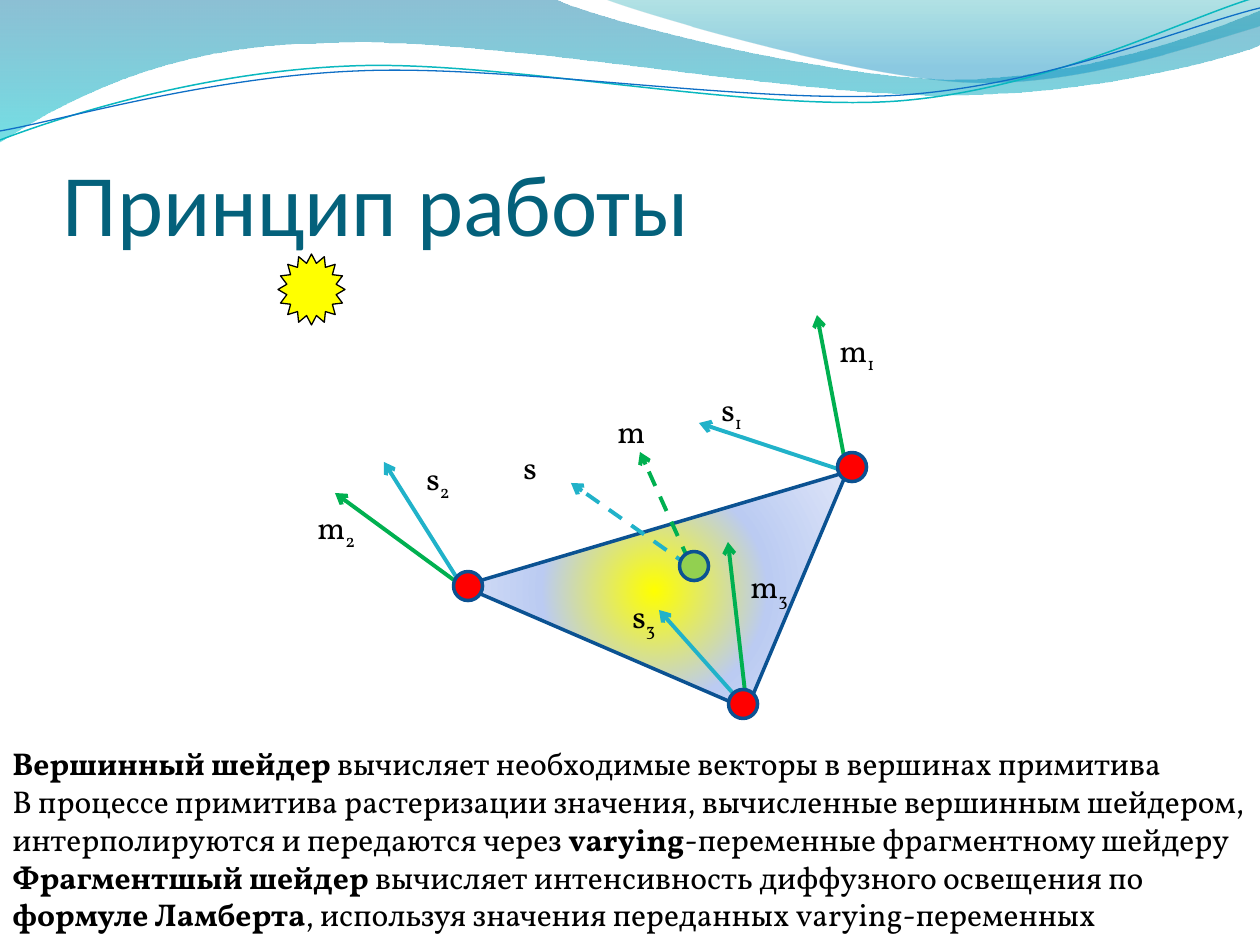
from lxml.etree import SubElement
from pptx import Presentation
from pptx.dml.color import RGBColor
from pptx.enum.dml import MSO_LINE
from pptx.enum.shapes import MSO_CONNECTOR, MSO_SHAPE
from pptx.enum.text import MSO_ANCHOR
from pptx.oxml.ns import qn
from pptx.util import Pt

PX = 914400 / 126
FONT = "Vollkorn"
GREEN, TEAL, NAVY = "00B050", "21B2C9", "0B5292"

# Header waves: a start point, then line ends (2 numbers) or Bézier curves (6)
WAVES = [
    ([(0, -1), (554, -1), (600, 21, 837, 79, 955, 79),
      (1075, 79, 1207, 33, 1260, 11), (1261, 45),
      (1239, 55, 1096, 96, 940, 95), (784, 95, 481, 35, 324, 43),
      (163, 44, 58, 105, -1, 142), (0, -1)],
     [(0, "0074A1", 45), (100, "00C6CF", 55)]),
    ([(604, -1), (641, 14, 859, 78, 969, 82),
      (1079, 87, 1211, 40, 1260, 26), (1260, 0), (604, -1)],
     [(0, "00A1A9", 30), (80, "008BBF", 45)]),
]
WAVE_LINES = [
    ([(0, 140), (60, 117, 199, 72, 349, 66), (498, 59, 747, 112, 898, 101),
      (1050, 89, 1182, 19, 1257, -3)], "0AB8BF", 0.85),
    ([(0, 131), (59, 121, 207, 77, 357, 71), (508, 64, 752, 105, 903, 95),
      (1053, 84, 1186, 26, 1260, 8)], "0F6FC6", 0.75),
]

TITLE = "Принцип работы"
V2, V3, V1 = (462, 586), (747, 709), (847, 472)
TRIANGLE = [V2, V3, V1, V2]
TRIANGLE_STOPS = [(0, "FFFF00", 100), (50, "BBCBF2", 100), (100, "DEE5F8", 100)]
# start, tip, colour, dashed
VECTORS = [
    (V2, (335, 493), GREEN, False), (V1, (817, 315), GREEN, False),
    (V3, (728, 542), GREEN, False), (V2, (384, 462), TEAL, False),
    (V1, (699, 423), TEAL, False), (V3, (659, 610), TEAL, False),
    ((689, 566), (571, 483), TEAL, True), ((689, 561), (640, 452), GREEN, True),
]
# letter, subscript, left, top
LABELS = [
    ("m", "1", 827, 325), ("m", "2", 305, 502), ("m", "3", 738, 561),
    ("s", "2", 414, 453), ("s", "1", 709, 384), ("s", "3", 620, 591),
    ("m", "", 605, 406), ("s", "", 511, 442),
]
# centre, colour
POINTS = [((694, 566), "92D050"), ((468, 586), "FF0000"),
          ((852, 467), "FF0000"), ((743, 704), "FF0000")]
# paragraphs of (text, bold) runs
BODY = [
    [("Вершинный шейдер", True),
     (" вычисляет необходимые векторы в вершинах примитива", False)],
    [("В процессе примитива растеризации значения, вычисленные вершинным "
      "шейдером, интерполируются и передаются через ", False),
     ("varying", True), ("-переменные фрагментному шейдеру", False)],
    [("Фрагментшый шейдер", True),
     (" вычисляет интенсивность диффузного освещения по ", False),
     ("формуле Ламберта", True),
     (", используя значения переданных varying-переменных", False)],
]


def px(n):
    return round(n * PX)


def rgb(color):
    return RGBColor.from_string(color)


def style(sp, fill=None, line=None, width=1):
    sp.shadow.inherit = False
    if fill:
        sp.fill.solid()
        sp.fill.fore_color.rgb = rgb(fill)
    else:
        sp.fill.background()
    if line:
        sp.line.color.rgb = rgb(line)
        sp.line.width = Pt(width)
    else:
        sp.line.fill.background()


def gradient(sp, stops, radial=False):
    spPr = sp._element.spPr
    grad = spPr.makeelement(qn("a:gradFill"), {"rotWithShape": "1"})
    spPr.replace(spPr.find(qn("a:noFill")), grad)
    lst = SubElement(grad, qn("a:gsLst"))
    for pos, color, opacity in stops:
        gs = SubElement(lst, qn("a:gs"), pos=str(pos * 1000))
        clr = SubElement(gs, qn("a:srgbClr"), val=color)
        if opacity < 100:
            SubElement(clr, qn("a:alpha"), val=str(opacity * 1000))
    if radial:
        center = SubElement(grad, qn("a:path"), {"path": "circle"})
        SubElement(center, qn("a:fillToRect"), {side: "50000" for side in "ltrb"})
    else:
        SubElement(grad, qn("a:lin"), ang="5400000", scaled="0")


def add_freeform(outline, close=True, **fmt):
    ends = [(px(seg[-2]), px(seg[-1])) for seg in outline]
    builder = s.shapes.build_freeform(*ends[0], scale=1.0)
    builder.add_line_segments(ends[1:], close=close)
    sp = builder.convert_to_shape()
    # Bend the segments that have control points
    segments = list(sp._element.iter(qn("a:lnTo")))
    for node, seg in zip(segments, outline[1:]):
        if len(seg) == 6:
            curve = node.makeelement(qn("a:cubicBezTo"), {})
            for x, y in zip(seg[::2], seg[1::2]):
                SubElement(curve, qn("a:pt"), x=str(px(x) - sp.left),
                           y=str(px(y) - sp.top))
            node.getparent().replace(node, curve)
    style(sp, **fmt)
    return sp


def add_shape(kind, x, y, w, h, **fmt):
    sp = s.shapes.add_shape(kind, px(x), px(y), px(w), px(h))
    style(sp, **fmt)
    return sp


def add_arrow(start, tip, color, dashed):
    ln = s.shapes.add_connector(MSO_CONNECTOR.STRAIGHT, *map(px, start + tip))
    ln.line.color.rgb = rgb(color)
    ln.line.width = Pt(2.25)
    if dashed:
        ln.line.dash_style = MSO_LINE.DASH
    SubElement(ln.line._get_or_add_ln(), qn("a:tailEnd"), type="arrow")
    SubElement(ln._element.spPr, qn("a:effectLst"))


def add_run(p, text, size=18, font=FONT, color="000000", bold=False, sub=False):
    r = p.add_run()
    r.text = text
    r.font.size, r.font.name, r.font.bold = Pt(size), font, bold
    r.font.color.rgb = rgb(color)
    if sub:
        r._r.get_or_add_rPr().set("baseline", "-25000")


def add_text(x, y, w, h, paragraphs):
    tf = s.shapes.add_textbox(px(x), px(y), px(w), px(h)).text_frame
    tf.word_wrap = True
    for i, runs in enumerate(paragraphs):
        p = tf.add_paragraph() if i else tf.paragraphs[0]
        for text, fmt in runs:
            add_run(p, text, **fmt)
    return tf


prs = Presentation()
prs.slide_width, prs.slide_height = px(1260), px(945)
s = prs.slides.add_slide(prs.slide_layouts[6])

# Header
for outline, stops in WAVES:
    gradient(add_freeform(outline), stops)
for outline, color, width in WAVE_LINES:
    add_freeform(outline, close=False, line=color, width=width)

# Title
tf = add_text(63, 97, 1144, 157,
              [[(TITLE, dict(size=50, font="Calibri", color="04617B"))]])
tf.vertical_anchor = MSO_ANCHOR.BOTTOM
tf.margin_left = tf.margin_right = tf.margin_bottom = 0

# Lit triangle and sun
gradient(add_freeform(TRIANGLE, line=NAVY, width=2), TRIANGLE_STOPS, radial=True)
sun = add_shape(MSO_SHAPE.STAR_16_POINT, 278, 254, 67, 71,
                fill="FFFF00", line="000000", width=0.75)
sun.adjustments[0] = 0.375

# Vectors, then the points they start from
for vector in VECTORS:
    add_arrow(*vector)
for (cx, cy), color in POINTS:
    add_shape(MSO_SHAPE.OVAL, cx - 14.5, cy - 14.5, 29, 29,
              fill=color, line=NAVY, width=2)
for letter, index, x, y in LABELS:
    runs = [(letter, {})] + ([(index, dict(sub=True))] if index else [])
    add_text(x, y, 69, 50, [runs])

# Explanation
add_text(0, 738, 1260, 204,
         [[(text, dict(bold=bold)) for text, bold in runs] for runs in BODY])

prs.save("out.pptx")
